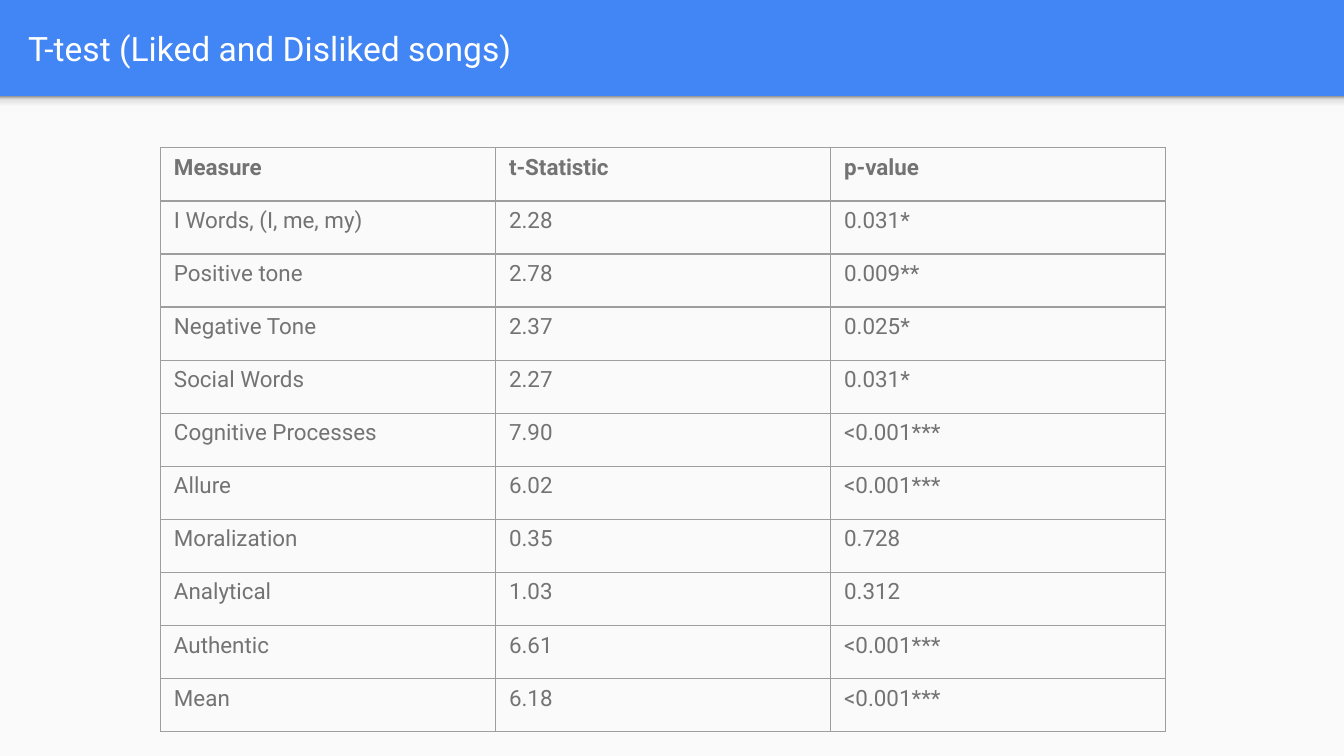
from copy import deepcopy
from dataclasses import dataclass

from pptx import Presentation
from pptx.dml.color import RGBColor as RGB
from pptx.enum.shapes import MSO_SHAPE as Shape
from pptx.enum.text import MSO_ANCHOR as Anchor, MSO_AUTO_SIZE as AutoSize, PP_ALIGN as Align
from pptx.oxml import parse_xml
from pptx.oxml.ns import nsdecls
from pptx.util import Pt


@dataclass(frozen=True)
class Theme:
    font: str = "Roboto"
    title_size: int = 18
    cell_size: int = 12
    header: str = "4285F4"
    page: str = "FAFAFA"
    title: str = "FFFFFF"
    text: str = "737373"
    border: str = "9E9E9E"
    shadow: tuple = ((0, "F9F9F9"), (0.36, "F9F9F9"), (0.8, "DEDEDE"), (1, "999999"))


theme = Theme()
WIDTH, HEIGHT, HEADER_HEIGHT = 720, 405, 51.6
INSET = Pt(7.2)


def style_text(frame, size, color, bold=False):
    frame.margin_left = frame.margin_right = INSET
    frame.margin_top = frame.margin_bottom = INSET
    paragraph = frame.paragraphs[0]
    paragraph.alignment = Align.LEFT
    font = paragraph.runs[0].font
    font.name, font.size, font.bold = theme.font, Pt(size), bold
    font.color.rgb = RGB.from_string(color)


def add_band(top, height):
    band = slide.shapes.add_shape(Shape.RECTANGLE, 0, Pt(top), Pt(WIDTH), Pt(height))
    band.shadow.inherit = False
    band.line.fill.background()
    return band


deck = Presentation()
deck.slide_width, deck.slide_height = Pt(WIDTH), Pt(HEIGHT)
slide = deck.slides.add_slide(deck.slide_layouts[5])

# Blue header behind a light page
slide.background.fill.solid()
slide.background.fill.fore_color.rgb = RGB.from_string(theme.header)
page = add_band(HEADER_HEIGHT, HEIGHT - HEADER_HEIGHT)
page.fill.solid()
page.fill.fore_color.rgb = RGB.from_string(theme.page)

# Soft shadow under the header
shadow = add_band(HEADER_HEIGHT, 8.4)
shadow.fill.gradient()
shadow.fill.gradient_angle = 90
stop_list = shadow.fill._fill._gradFill.gsLst
for _ in range(len(theme.shadow) - len(stop_list)):
    stop_list.append(deepcopy(stop_list[0]))
for stop, (position, color) in zip(shadow.fill.gradient_stops, theme.shadow):
    stop.position = position
    stop.color.rgb = RGB.from_string(color)

# Title
title = slide.shapes.title
title.left, title.top, title.width, title.height = Pt(7.9), Pt(1.6), Pt(695), Pt(47.8)
title.text_frame.text = "T-test (Liked and Disliked songs)"
title.text_frame.auto_size = AutoSize.NONE
title.text_frame.vertical_anchor = Anchor.MIDDLE
style_text(title.text_frame, theme.title_size, theme.title)

# Test results
results = [
    ("Measure", "t-Statistic", "p-value"),
    ("I Words, (I, me, my)", "2.28", "0.031*"),
    ("Positive tone", "2.78", "0.009**"),
    ("Negative Tone", "2.37", "0.025*"),
    ("Social Words", "2.27", "0.031*"),
    ("Cognitive Processes", "7.90", "<0.001***"),
    ("Allure", "6.02", "<0.001***"),
    ("Moralization", "0.35", "0.728"),
    ("Analytical", "1.03", "0.312"),
    ("Authentic", "6.61", "<0.001***"),
    ("Mean", "6.18", "<0.001***"),
]
ROW_HEIGHT, COLUMN_WIDTH = 28.45, 179.5
table = slide.shapes.add_table(
    len(results), 3, Pt(86), Pt(79.2), Pt(3 * COLUMN_WIDTH), Pt(len(results) * ROW_HEIGHT)
).table
table.horz_banding = False
for column in table.columns:
    column.width = Pt(COLUMN_WIDTH)
for index, (row, values) in enumerate(zip(table.rows, results)):
    row.height = Pt(ROW_HEIGHT)
    for cell, value in zip(row.cells, values):
        cell.text_frame.text = value
        style_text(cell.text_frame, theme.cell_size, theme.text, bold=index == 0)
        cell.vertical_anchor = Anchor.TOP
        cell.fill.background()
        # Borders come before the fill in the cell properties
        for place, side in enumerate(("lnL", "lnR", "lnT", "lnB")):
            border = parse_xml(
                f'<a:{side} {nsdecls("a")} w="{Pt(0.75)}"><a:solidFill>'
                f'<a:srgbClr val="{theme.border}"/></a:solidFill></a:{side}>'
            )
            cell._tc.get_or_add_tcPr().insert(place, border)

deck.save("out.pptx")
